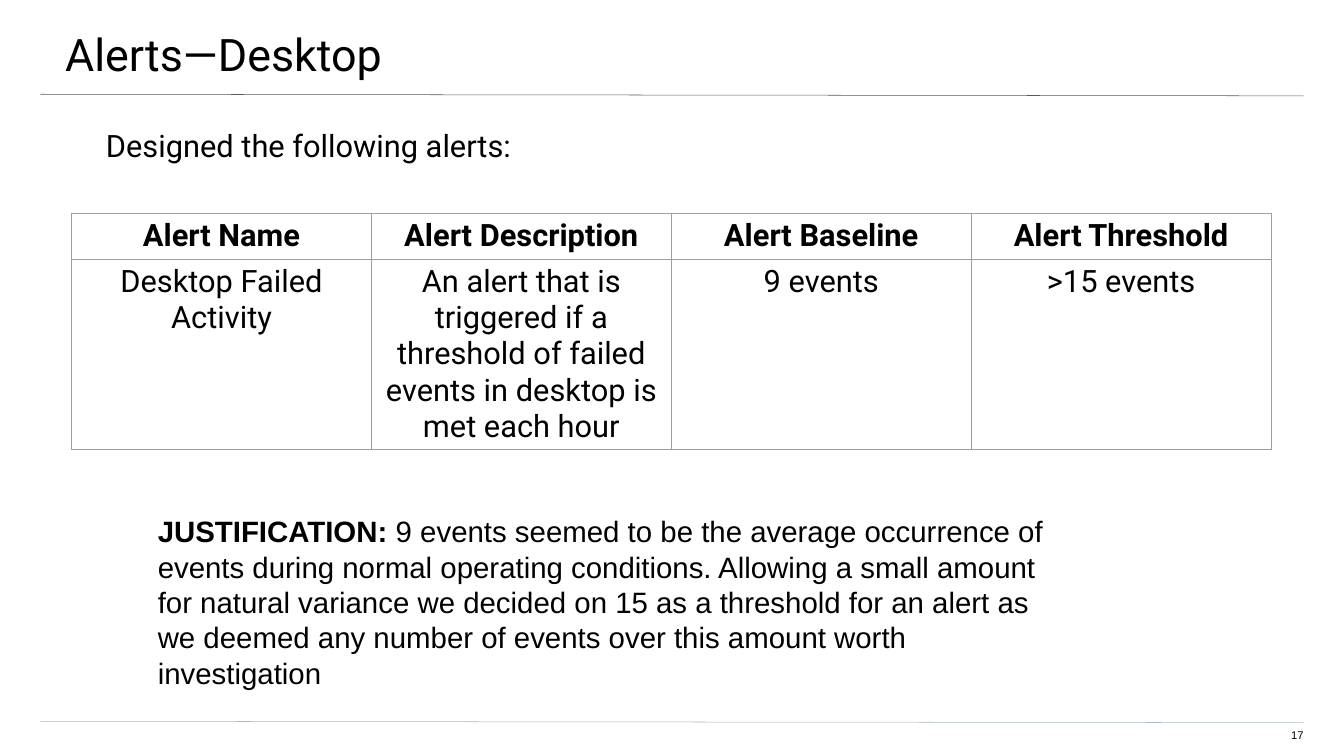
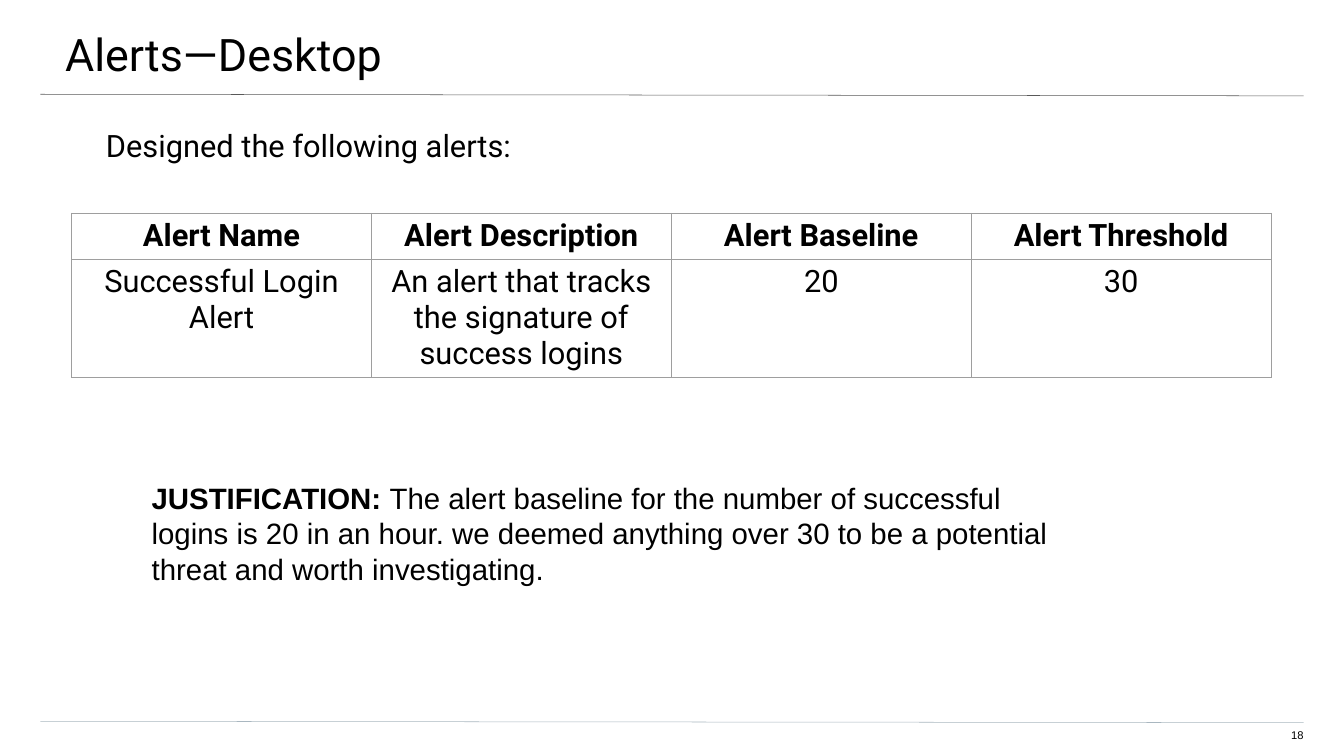
from dataclasses import dataclass

from lxml.etree import SubElement
from pptx import Presentation
from pptx.dml.color import RGBColor
from pptx.enum.shapes import MSO_CONNECTOR
from pptx.enum.text import MSO_ANCHOR, MSO_AUTO_SIZE, PP_ALIGN
from pptx.oxml.ns import qn
from pptx.slide import Slide
from pptx.text.text import TextFrame
from pptx.util import Cm, Length, Pt


# Colours, fonts and type sizes
@dataclass(frozen=True)
class Theme:
    text: str = "000000"
    title_rule: str = "595959"
    footer_rule: str = "A9B7C0"
    grid: str = "9E9E9E"
    heading_font: str = "Roboto"
    plain_font: str = "Arial"
    title_size: int = 64
    body_size: int = 44
    justification_size: int = 42
    number_size: int = 16
    line_width: float = 0.75


THEME = Theme()


# Repeated elements
@dataclass(frozen=True)
class Box:
    left: Length
    top: Length
    width: Length
    height: Length


@dataclass(frozen=True)
class Rule:
    start_y: Length
    end_y: Length
    color: str


@dataclass(frozen=True)
class Run:
    text: str
    size: int
    font: str
    bold: bool = False


@dataclass(frozen=True)
class Alert:
    page: int
    cells: tuple[str, str, str, str]
    justification: str
    justification_box: Box


TITLE = "Alerts—Desktop"
INTRO = "Designed the following alerts:"
HEADINGS = ("Alert Name", "Alert Description", "Alert Baseline", "Alert Threshold")

TITLE_BOX = Box(Cm(-0.1), Cm(0), Cm(67.89), Cm(3.96))
INTRO_BOX = Box(Cm(1.96), Cm(6.38), Cm(63.73), Cm(27.41))
NUMBER_BOX = Box(Cm(63.75), Cm(36.73), Cm(1.93), Cm(0.79))
RULE_LEFT, RULE_RIGHT = Cm(2.03), Cm(65.68)
RULES = (
    Rule(Cm(4.75), Cm(4.83), THEME.title_rule),
    Rule(Cm(36.35), Cm(36.42), THEME.footer_rule),
)
TABLE_LEFT, TABLE_TOP = Cm(3.61), Cm(10.74)
COLUMN_WIDTH = Cm(15.11)
ROW_HEIGHTS = (Cm(1.07), Cm(2.36))
PADDING = Cm(0.25)

ALERTS = (
    Alert(
        17,
        ("Desktop Failed Activity",
         "An alert that is triggered if a threshold of failed events in desktop "
         "is met each hour",
         "9 events", ">15 events"),
        "9 events seemed to be the average occurrence of events during normal "
        "operating conditions. Allowing a small amount for natural variance we "
        "decided on 15 as a threshold for an alert as we deemed any number of "
        "events over this amount worth investigation",
        Box(Cm(7.7), Cm(25.63), Cm(46.02), Cm(9.5)),
    ),
    Alert(
        18,
        ("Successful Login Alert",
         "An alert that tracks the signature of success logins",
         "20", "30"),
        "The alert baseline for the number of successful logins is 20 in an hour. "
        "we deemed anything over 30 to be a potential threat and worth investigating.",
        Box(Cm(7.39), Cm(23.95), Cm(46.02), Cm(5.89)),
    ),
)


def write(frame: TextFrame, runs: list[Run], align: PP_ALIGN = PP_ALIGN.LEFT) -> None:
    paragraph = frame.paragraphs[0]
    paragraph.alignment = align
    for item in runs:
        run = paragraph.add_run()
        run.text = item.text
        run.font.name = item.font
        run.font.size = Pt(item.size)
        run.font.bold = item.bold
        run.font.color.rgb = RGBColor.from_string(THEME.text)


def set_insets(frame: TextFrame, left: Length, top: Length,
               right: Length, bottom: Length) -> None:
    frame.margin_left, frame.margin_top = left, top
    frame.margin_right, frame.margin_bottom = right, bottom
    frame.word_wrap = True
    frame.vertical_anchor = MSO_ANCHOR.TOP
    frame.auto_size = MSO_AUTO_SIZE.NONE


def add_text(slide: Slide, box: Box, insets: tuple[Length, Length, Length, Length],
             runs: list[Run], align: PP_ALIGN = PP_ALIGN.LEFT) -> TextFrame:
    frame = slide.shapes.add_textbox(box.left, box.top, box.width, box.height).text_frame
    set_insets(frame, *insets)
    write(frame, runs, align)
    return frame


def add_title(slide: Slide) -> None:
    title = slide.shapes.title
    title.left, title.top = TITLE_BOX.left, TITLE_BOX.top
    title.width, title.height = TITLE_BOX.width, TITLE_BOX.height
    set_insets(title.text_frame, Cm(3.38), Cm(1.35), Cm(2.03), Cm(0.69))
    write(title.text_frame, [Run(TITLE, THEME.title_size, THEME.heading_font)])


def add_rule(slide: Slide, rule: Rule) -> None:
    line = slide.shapes.add_connector(
        MSO_CONNECTOR.STRAIGHT, RULE_LEFT, rule.start_y, RULE_RIGHT, rule.end_y)
    line.line.color.rgb = RGBColor.from_string(rule.color)
    line.line.width = Pt(THEME.line_width)
    SubElement(line._element.spPr, qn("a:effectLst"))


def add_borders(cell) -> None:
    properties = cell._tc.get_or_add_tcPr()
    for side in ("a:lnL", "a:lnR", "a:lnT", "a:lnB"):
        border = SubElement(properties, qn(side), w=str(Pt(THEME.line_width)))
        fill = SubElement(border, qn("a:solidFill"))
        SubElement(fill, qn("a:srgbClr"), val=THEME.grid)


def add_alert_table(slide: Slide, alert: Alert) -> None:
    rows = (HEADINGS, alert.cells)
    table = slide.shapes.add_table(
        len(rows), len(HEADINGS), TABLE_LEFT, TABLE_TOP,
        COLUMN_WIDTH * len(HEADINGS), sum(ROW_HEIGHTS)).table
    table.first_row = table.horz_banding = False
    for column in table.columns:
        column.width = COLUMN_WIDTH
    for row_index, (texts, height) in enumerate(zip(rows, ROW_HEIGHTS)):
        table.rows[row_index].height = height
        for column_index, text in enumerate(texts):
            cell = table.cell(row_index, column_index)
            cell.margin_left = cell.margin_right = PADDING
            cell.margin_top = cell.margin_bottom = PADDING
            add_borders(cell)
            cell.fill.background()
            content = Run(text, THEME.body_size, THEME.heading_font, row_index == 0)
            write(cell.text_frame, [content], PP_ALIGN.CENTER)


def add_alert_slide(deck, alert: Alert) -> None:
    slide = deck.slides.add_slide(deck.slide_layouts[5])
    # Title, rules and page number
    add_title(slide)
    for rule in RULES:
        add_rule(slide, rule)
    add_text(slide, NUMBER_BOX, (Cm(0), Cm(0), Cm(0), Cm(0.69)),
             [Run(str(alert.page), THEME.number_size, THEME.plain_font)], PP_ALIGN.RIGHT)
    # Introduction and alert table
    add_text(slide, INTRO_BOX, (Cm(3.38), Cm(0), Cm(3.38), Cm(6.78)),
             [Run(INTRO, THEME.body_size, THEME.heading_font)])
    add_alert_table(slide, alert)
    # Justification
    justification = add_text(
        slide, alert.justification_box, (PADDING,) * 4,
        [Run("JUSTIFICATION: ", THEME.justification_size, THEME.plain_font, True),
         Run(alert.justification, THEME.justification_size, THEME.plain_font)])
    justification.auto_size = MSO_AUTO_SIZE.SHAPE_TO_FIT_TEXT


def main() -> None:
    deck = Presentation()
    deck.slide_width, deck.slide_height = Cm(67.72), Cm(38.1)
    for alert in ALERTS:
        add_alert_slide(deck, alert)
    deck.save("out.pptx")


if __name__ == "__main__":
    main()
